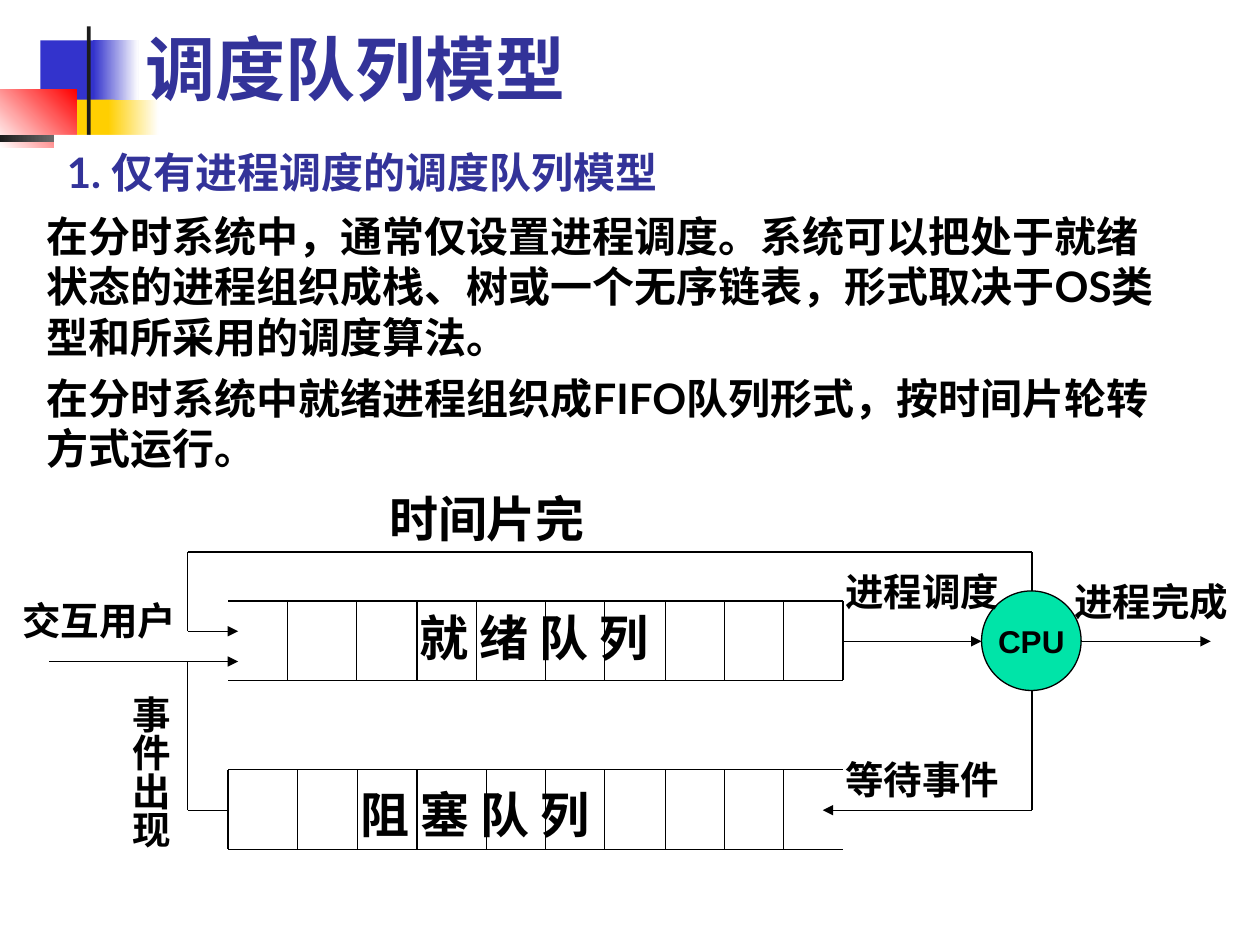
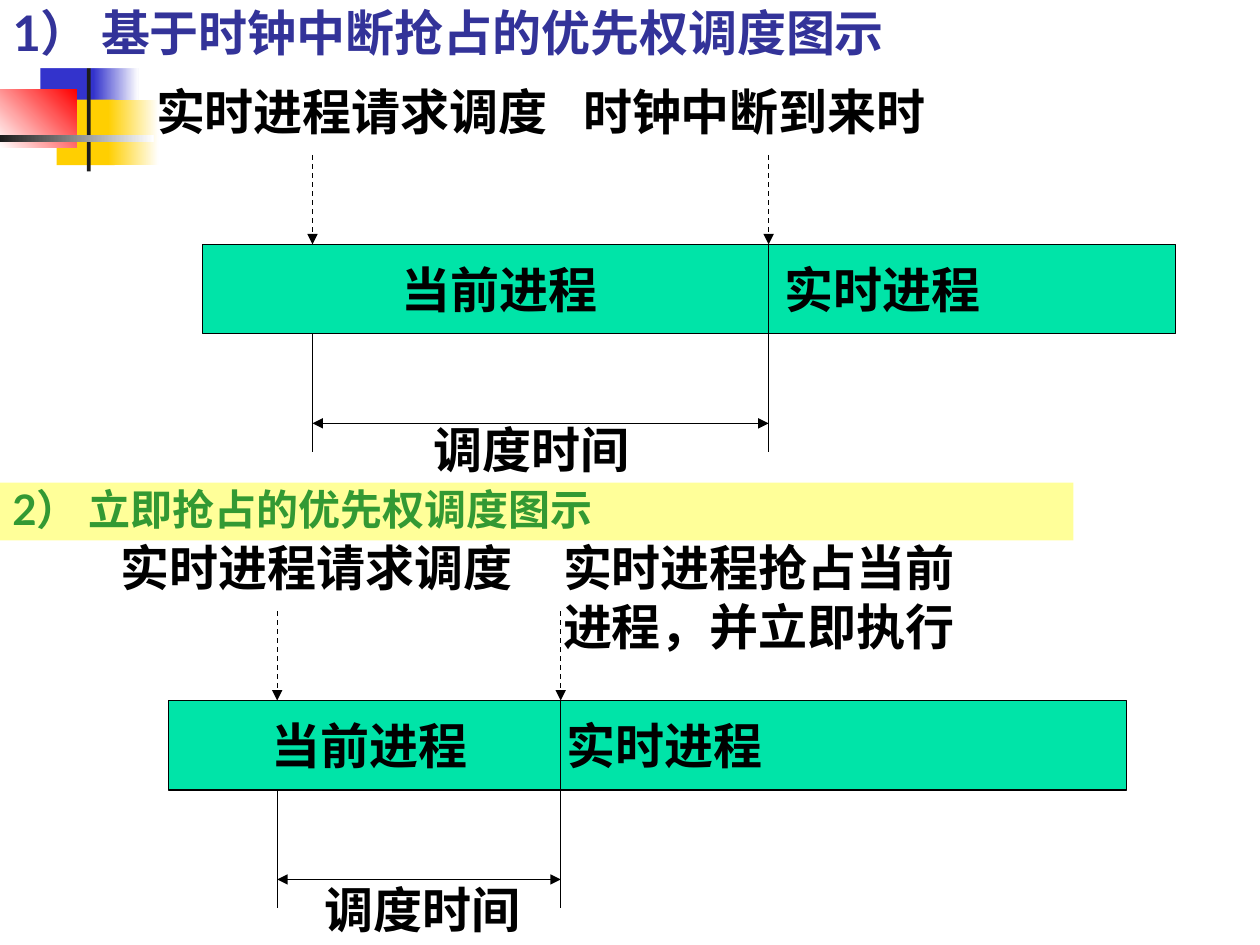
"""Builds two slides on process scheduling queues and priority preemption."""
import pptx
import pptx.dml.color
import pptx.enum.dml
import pptx.enum.shapes
import pptx.enum.text
import pptx.oxml
import pptx.oxml.ns
import pptx.util

Inches = pptx.util.Inches
Anchor = pptx.enum.text.MSO_ANCHOR
Align = pptx.enum.text.PP_ALIGN
Shapes = pptx.enum.shapes.MSO_SHAPE
qn = pptx.oxml.ns.qn

BLACK, WHITE, DARK = "000000", "FFFFFF", "1C1C1C"
BLUE, YELLOW, RED = "3333CC", "FFCF01", "FF0000"
HEADING, GREEN, GREEN_TEXT, PALE_YELLOW = "333399", "00E4A8", "339933", "FFFF99"
HEADING_FONT, LABEL_FONT = "Lato", "Arial"

CORNER_BLOCKS = [
    (0.32, 0.32, 0.48, 0.52, [BLUE], 0),
    (0.74, 0.32, 0.36, 0.52, [BLUE, WHITE], 0),
    (0.45, 0.79, 0.46, 0.52, [YELLOW], 0),
    (0.86, 0.79, 0.4, 0.52, [YELLOW, WHITE], 0),
    (0, 0.71, 0.61, 0.46, [WHITE, RED], 45),
    (0.69, 0.21, 0.03, 1.15, [DARK], 0),
    (0, 1.07, 1.22, 0.06, [DARK, WHITE], 0),
]


def rgb(color):
    return pptx.dml.color.RGBColor.from_string(color)


def add_xml(parent, tag, **attributes):
    element = pptx.oxml.parse_xml(
        f'<{tag} xmlns:a="http://schemas.openxmlformats.org/drawingml/2006/main"/>'
    )
    for name, value in attributes.items():
        element.set(name, str(value))
    parent.append(element)
    return element


class Deck:
    def __init__(self):
        self.presentation = pptx.Presentation()
        self.presentation.slide_width = Inches(10)
        self.presentation.slide_height = Inches(7.5)
        self.slide = None

    def new_slide(self, layout_index):
        layout = self.presentation.slide_layouts[layout_index]
        self.slide = self.presentation.slides.add_slide(layout)

    def corner_blocks(self):
        group = self.slide.shapes.add_group_shape()
        for left, top, width, height, colors, angle in CORNER_BLOCKS:
            block = group.shapes.add_shape(
                Shapes.RECTANGLE, Inches(left), Inches(top), Inches(width), Inches(height)
            )
            block.shadow.inherit = False
            block.line.fill.background()
            if len(colors) == 1:
                block.fill.solid()
                block.fill.fore_color.rgb = rgb(colors[0])
            else:
                block.fill.gradient()
                block.fill.gradient_angle = angle
                for stop, color in zip(block.fill.gradient_stops, colors):
                    stop.color.rgb = rgb(color)
        for number, properties in enumerate(group.element.iter(qn("p:cNvPr")), 100):
            properties.set("id", str(number))
        self.presentation.slide_master.shapes.element.append(group.element)

    def set_text(self, shape, paragraphs, size, font=LABEL_FONT, color=BLACK,
                 anchor=Anchor.TOP, align=Align.LEFT, before=0, tabs=()):
        frame = shape.text_frame
        frame.word_wrap = True
        frame.auto_size = pptx.enum.text.MSO_AUTO_SIZE.NONE
        frame.vertical_anchor = anchor
        for index, text in enumerate(paragraphs):
            paragraph = frame.add_paragraph() if index else frame.paragraphs[0]
            paragraph.alignment = align
            paragraph.space_before = pptx.util.Pt(before)
            run = paragraph.add_run()
            run.text = text
            run.font.size = pptx.util.Pt(size)
            run.font.bold = True
            run.font.name = font
            run.font.color.rgb = rgb(color)
            if tabs:
                tab_list = add_xml(paragraph._p.get_or_add_pPr(), "a:tabLst")
                for position in tabs:
                    add_xml(tab_list, "a:tab", pos=Inches(position), algn="l")

    def place(self, shape, left, top, width, height):
        shape.left, shape.top = Inches(left), Inches(top)
        shape.width, shape.height = Inches(width), Inches(height)

    def title(self, text, left, top, size):
        title = self.slide.shapes.title
        self.place(title, left, top, 8.52, 0.54)
        title.fill.solid()
        title.fill.fore_color.rgb = rgb(WHITE)
        self.set_text(title, [text], size, HEADING_FONT, HEADING, Anchor.BOTTOM)

    def body(self, paragraphs, left, top, width, height):
        body = self.slide.placeholders[1]
        self.place(body, left, top, width, height)
        self.set_text(body, paragraphs, 24, HEADING_FONT, before=6)
        for paragraph in body.text_frame.paragraphs:
            properties = paragraph._p.get_or_add_pPr()
            properties.set("marL", "0")
            properties.set("indent", "0")
            add_xml(properties, "a:buNone")

    def text(self, text, left, top, width, height, size=28, **style):
        box = self.slide.shapes.add_textbox(
            Inches(left), Inches(top), Inches(width), Inches(height)
        )
        self.set_text(box, [text], size, **style)
        return box

    def vertical_text(self, text, left, top, width, height, size):
        box = self.text(text, left, top, width, height, size)
        frame = box.text_frame
        frame.margin_left = frame.margin_right = Inches(0.05)
        frame.margin_top = frame.margin_bottom = Inches(0.1)
        frame.word_wrap = False
        frame._txBody.bodyPr.set("vert", "eaVert")

    def shape(self, text, left, top, width, height, size, fill=GREEN,
              kind=Shapes.RECTANGLE, outlined=True, **style):
        shape = self.slide.shapes.add_shape(
            kind, Inches(left), Inches(top), Inches(width), Inches(height)
        )
        shape.shadow.inherit = False
        shape.fill.solid()
        shape.fill.fore_color.rgb = rgb(fill)
        if outlined:
            shape.line.color.rgb = rgb(BLACK)
            shape.line.width = pptx.util.Pt(0.75)
        else:
            shape.line.fill.background()
        self.set_text(shape, [text], size, **style)
        return shape

    def line(self, x1, y1, x2, y2, head=False, tail=False, dashed=False):
        connector = self.slide.shapes.add_connector(
            pptx.enum.shapes.MSO_CONNECTOR.STRAIGHT,
            Inches(x1), Inches(y1), Inches(x2), Inches(y2),
        )
        connector.line.color.rgb = rgb(BLACK)
        connector.line.width = pptx.util.Pt(0.75)
        if dashed:
            connector.line.dash_style = pptx.enum.dml.MSO_LINE.DASH
        outline = connector.line._get_or_add_ln()
        for wanted, tag in ((head, "a:headEnd"), (tail, "a:tailEnd")):
            if wanted:
                add_xml(outline, tag, type="triangle")
        add_xml(connector._element.spPr, "a:effectLst")

    def queue(self, top, dividers):
        bottom = top + 0.63
        for y in (top, bottom):
            self.line(1.81, y, 6.69, y)
        for x in dividers:
            self.line(x, top, x, bottom)

    def timeline(self, top, left, width, request, preempt, label_tabs):
        bottom = top + 0.71
        self.shape("\t当前进程\t实时进程", left, top, width, 0.71, 28,
                   anchor=Anchor.MIDDLE, tabs=label_tabs)
        self.line(request, bottom, request, top + 1.65)
        self.line(preempt, top, preempt, top + 1.65)
        self.line(request, top + 1.42, preempt, top + 1.42, head=True, tail=True)
        for x in (request, preempt):
            self.line(x, top - 0.71, x, top, tail=True, dashed=True)


def build_queue_slide(deck):
    deck.new_slide(1)
    deck.corner_blocks()
    deck.title("1. 仅有进程调度的调度队列模型", 0.43, 1.07, 24)
    deck.body(
        [
            "在分时系统中，通常仅设置进程调度。系统可以把处于就绪状态的进程组织成栈、树或一个无序链表，"
            "形式取决于OS类型和所采用的调度算法。",
            "在分时系统中就绪进程组织成FIFO队列形式，按时间片轮转方式运行。",
        ],
        0.27, 1.62, 9.18, 2.2,
    )
    deck.text("调度队列模型", 1.06, 0.21, 8.52, 0.71, 40, font=HEADING_FONT,
              color=HEADING, anchor=Anchor.BOTTOM)

    shared_dividers = [3.31, 4.33, 4.8, 5.28, 5.75, 6.22]
    deck.queue(4.77, [2.28, 2.83, 3.78, 6.69] + shared_dividers)
    deck.queue(6.11, [1.81, 2.36, 2.84, 3.86] + shared_dividers)

    processor = deck.shape("CPU", 7.79, 4.69, 0.79, 0.79, 18, kind=Shapes.OVAL,
                           anchor=Anchor.MIDDLE, align=Align.CENTER)
    processor.text_frame.word_wrap = False

    for ends in [
        (1.49, 4.38, 8.19, 4.38),
        (8.19, 4.69, 8.19, 4.38),
        (8.19, 5.48, 8.19, 6.43),
        (1.49, 4.38, 1.49, 5.01),
        (1.49, 5.25, 1.49, 6.43),
        (1.49, 6.43, 1.81, 6.43),
    ]:
        deck.line(*ends)
    for ends in [
        (6.69, 5.09, 7.79, 5.09),
        (8.58, 5.09, 9.61, 5.09),
        (8.19, 6.43, 6.53, 6.43),
        (1.49, 5.01, 1.89, 5.01),
        (0.39, 5.25, 1.89, 5.25),
    ]:
        deck.line(*ends, tail=True)

    for label, left, top in [
        ("就 绪 队 列", 3.23, 4.77),
        ("阻 塞 队 列", 2.76, 6.18),
        ("时间片完", 2.99, 3.83),
    ]:
        deck.text(label, left, top, 2.13, 0.57)
    for label, left, top in [
        ("进程调度", 6.61, 4.46),
        ("等待事件", 6.61, 5.95),
        ("进程完成", 8.43, 4.54),
        ("交互用户", 0.08, 4.69),
    ]:
        deck.text(label, left, top, 1.57, 0.47, 22)
    deck.vertical_text("事件出现", 0.87, 5.42, 0.56, 1.32, 22)


def build_preemption_slide(deck):
    deck.new_slide(5)
    deck.title("1） 基于时钟中断抢占的优先权调度图示", 0, 0, 28)
    deck.timeline(1.94, 1.61, 7.72, 2.48, 6.1, (1.48, 4.52))
    deck.shape("2） 立即抢占的优先权调度图示", 0, 3.83, 8.52, 0.46, 24, PALE_YELLOW,
               outlined=False, font=HEADING_FONT, color=GREEN_TEXT, anchor=Anchor.BOTTOM)
    deck.timeline(5.56, 1.34, 7.6, 2.2, 4.45, (0.72, 3.06))
    for label, left, top, width, height in [
        ("实时进程请求调度", 1.14, 0.6, 3.39, 0.57),
        ("时钟中断到来时", 4.53, 0.6, 3.39, 0.57),
        ("调度时间", 3.34, 3.28, 1.89, 0.57),
        ("实时进程请求调度", 0.86, 4.22, 3.39, 0.57),
        ("实时进程抢占当前进程，并立即执行", 4.37, 4.22, 3.39, 1.04),
        ("调度时间", 2.48, 6.93, 1.89, 0.57),
    ]:
        deck.text(label, left, top, width, height)


def main():
    deck = Deck()
    build_queue_slide(deck)
    build_preemption_slide(deck)
    deck.presentation.save("out.pptx")


if __name__ == "__main__":
    main()
